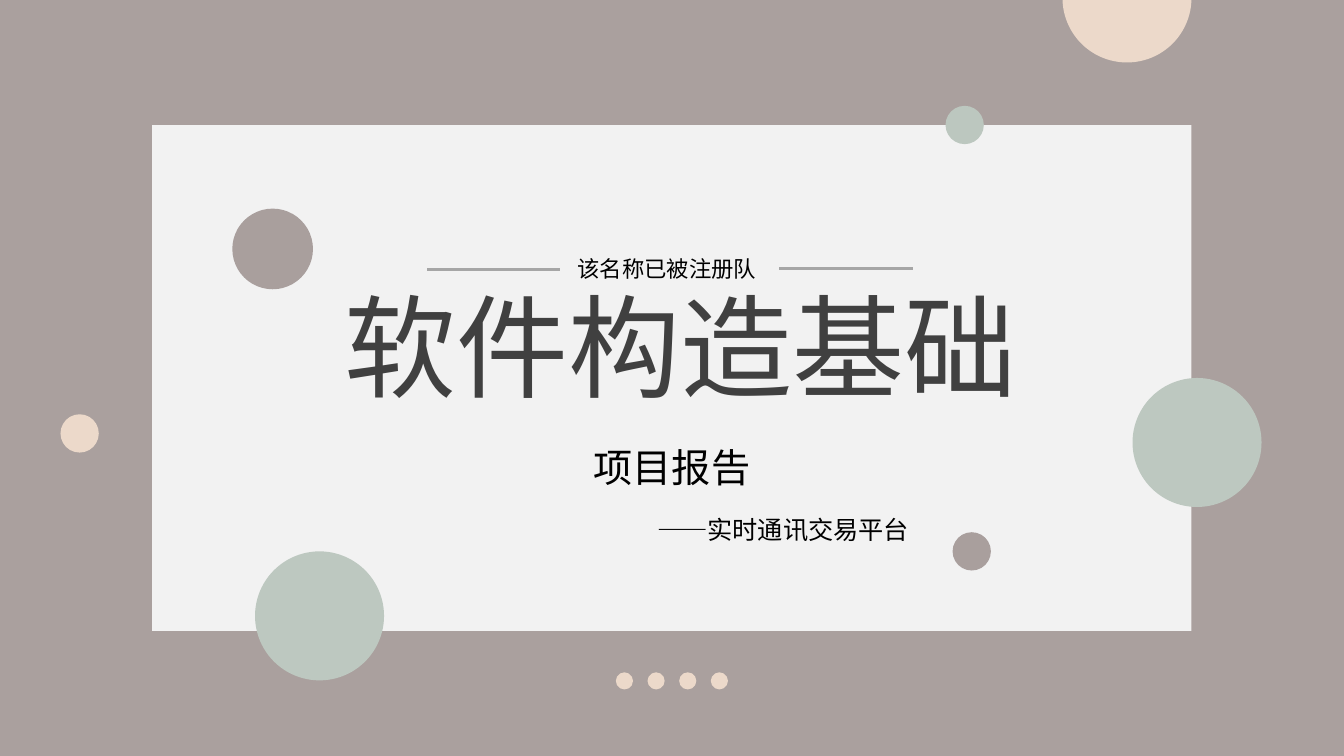
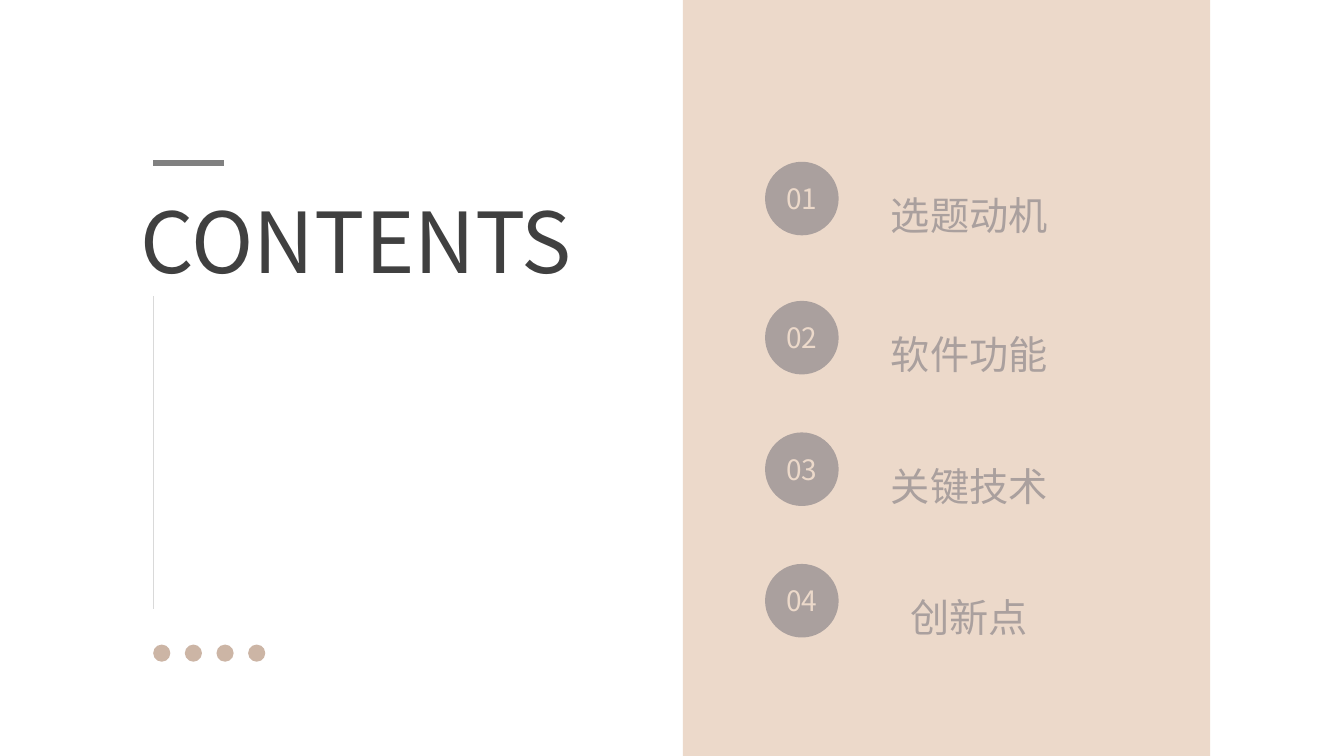
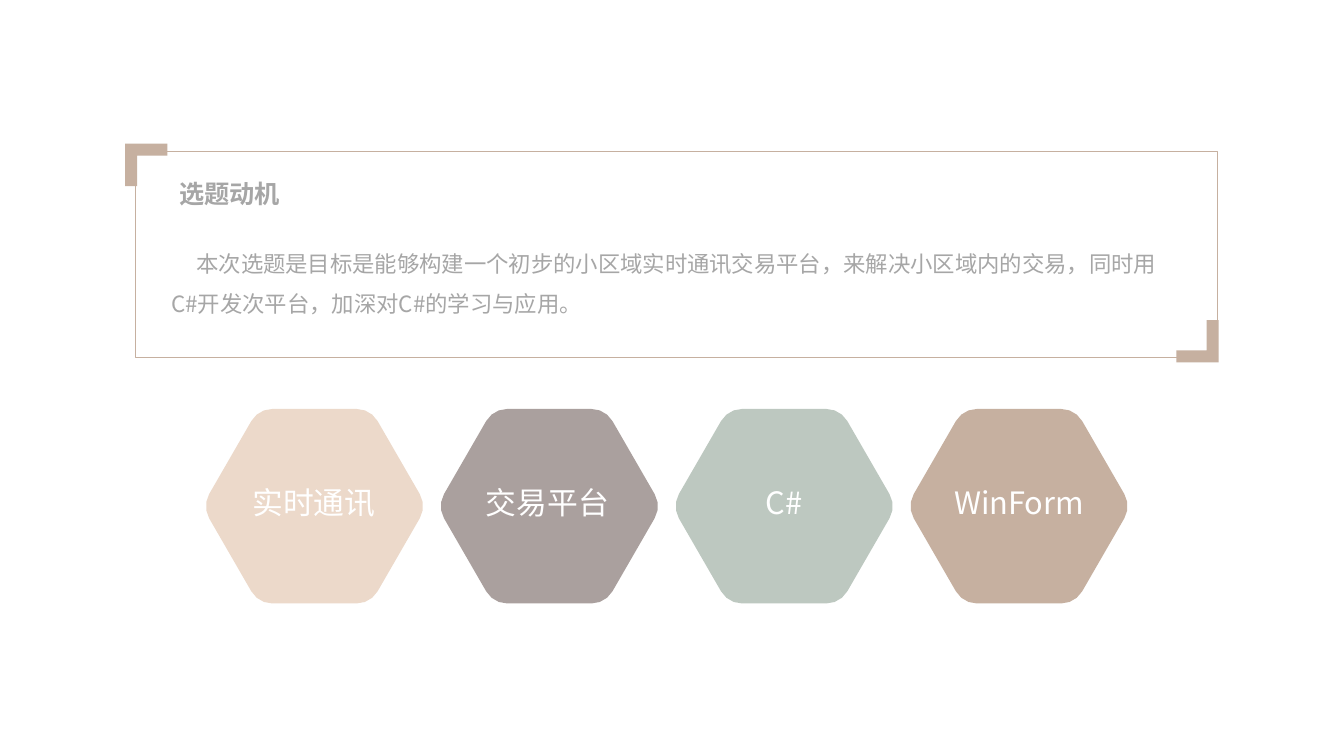
import math
from dataclasses import dataclass

import lxml.etree
import pptx
import pptx.dml.color
import pptx.enum.shapes
import pptx.enum.text
import pptx.oxml.ns
import pptx.shapes.autoshape
import pptx.slide
import pptx.util

# Grid: cells of a tenth of an inch, 133.33 columns by 75 rows
CELL = pptx.util.Inches(0.1)
COLUMNS, ROWS = 133.33, 75
FONT = "Noto Sans CJK SC"
COLORS = {
    "taupe": "AAA09E",
    "sand": "ECD9CA",
    "sage": "BDC8C0",
    "clay": "C6B0A0",
    "dot_clay": "CCB5A5",
    "bubble_taupe": "A99F9D",
    "bubble_sage": "BCC7BF",
    "panel": "F2F2F2",
    "title": "404040",
    "black": "000000",
    "white": "FFFFFF",
    "body": "A6A6A6",
    "accent": "808080",
    "hairline": "D9D9D9",
}
PRESET = pptx.enum.shapes.MSO_SHAPE
ALIGN = pptx.enum.text.PP_ALIGN
ANCHOR = pptx.enum.text.MSO_ANCHOR


@dataclass(frozen=True)
class Box:
    left: float
    top: float
    width: float
    height: float

    def emu(self) -> tuple[int, ...]:
        return tuple(grid(n) for n in (self.left, self.top, self.width, self.height))


@dataclass(frozen=True)
class TextStyle:
    size: float
    color: str
    align: ALIGN = ALIGN.LEFT
    anchor: ANCHOR = ANCHOR.TOP
    indent: float = 0
    spacing: float = 1.0
    margin: float = 1
    bold: bool = False
    wrap: bool = True


@dataclass(frozen=True)
class Bubble:
    left: float
    top: float
    diameter: float
    color: str


@dataclass(frozen=True)
class Rule:
    start: tuple[float, float]
    end: tuple[float, float]
    color: str
    weight: float


@dataclass(frozen=True)
class AgendaItem:
    number: str
    topic: str
    top: float


@dataclass(frozen=True)
class Keyword:
    text: str
    color: str
    text_left: float


def grid(cells: float) -> int:
    return round(cells * CELL)


def rgb(color: str) -> pptx.dml.color.RGBColor:
    return pptx.dml.color.RGBColor.from_string(COLORS[color])


def paint(shape: pptx.shapes.autoshape.Shape, fill: str | None) -> None:
    """Flat fill without outline or shadow."""
    shape.shadow.inherit = False
    shape.line.fill.background()
    if fill:
        shape.fill.solid()
        shape.fill.fore_color.rgb = rgb(fill)
    else:
        shape.fill.background()


def add_preset(
    slide: pptx.slide.Slide, preset: PRESET, box: Box, fill: str | None
) -> pptx.shapes.autoshape.Shape:
    shape = slide.shapes.add_shape(preset, *box.emu())
    paint(shape, fill)
    return shape


def add_outline(
    slide: pptx.slide.Slide, points: list[tuple[float, float]], fill: str
) -> None:
    corners = [(grid(x), grid(y)) for x, y in points]
    builder = slide.shapes.build_freeform(*corners[0])
    builder.add_line_segments(corners[1:], close=True)
    paint(builder.convert_to_shape(), fill)


def write(shape: pptx.shapes.autoshape.Shape, text: str, style: TextStyle) -> None:
    frame = shape.text_frame
    frame.word_wrap = style.wrap
    frame.vertical_anchor = style.anchor
    frame.margin_left = frame.margin_right = grid(style.margin)
    frame.margin_top = frame.margin_bottom = grid(style.margin / 2)
    paragraph = frame.paragraphs[0]
    paragraph.text = text
    paragraph.alignment = style.align
    paragraph.line_spacing = style.spacing
    font = paragraph.font
    font.size = pptx.util.Pt(style.size)
    font.bold = style.bold
    font.color.rgb = rgb(style.color)
    font.name = FONT
    # East Asian typeface and first-line indent
    properties = paragraph._p.get_or_add_pPr()
    if style.indent:
        properties.set("indent", str(grid(style.indent)))
    defaults = properties.find(pptx.oxml.ns.qn("a:defRPr"))
    east_asian = lxml.etree.SubElement(defaults, pptx.oxml.ns.qn("a:ea"))
    east_asian.set("typeface", FONT)


def add_text(
    slide: pptx.slide.Slide, box: Box, text: str, style: TextStyle
) -> None:
    write(slide.shapes.add_textbox(*box.emu()), text, style)


def add_pill(
    slide: pptx.slide.Slide, box: Box, text: str, style: TextStyle
) -> None:
    pill = add_preset(slide, PRESET.ROUNDED_RECTANGLE, box, None)
    pill.adjustments[0] = 0.5
    write(pill, text, style)


def add_bubble(
    slide: pptx.slide.Slide, bubble: Bubble
) -> pptx.shapes.autoshape.Shape:
    box = Box(bubble.left, bubble.top, bubble.diameter, bubble.diameter)
    return add_preset(slide, PRESET.OVAL, box, bubble.color)


def add_dots(slide: pptx.slide.Slide, left: float, top: float, color: str) -> None:
    for i in range(4):
        add_bubble(slide, Bubble(left + 3.14 * i, top, 1.7, color))


def add_rule(slide: pptx.slide.Slide, rule: Rule) -> None:
    line = slide.shapes.add_connector(
        pptx.enum.shapes.MSO_CONNECTOR.STRAIGHT,
        *map(grid, rule.start + rule.end),
    )
    line.line.color.rgb = rgb(rule.color)
    line.line.width = pptx.util.Pt(rule.weight)
    lxml.etree.SubElement(line._element.spPr, pptx.oxml.ns.qn("a:effectLst"))


def add_bracket(
    slide: pptx.slide.Slide, x: float, y: float, direction: int
) -> None:
    """L-shaped corner at (x, y), opening inwards along direction."""
    arm, thick = 4.2, 1.2
    steps = [(0, 0), (arm, 0), (arm, thick), (thick, thick), (thick, arm), (0, arm)]
    points = [(x + direction * dx, y + direction * dy) for dx, dy in steps]
    add_outline(slide, points, "clay")


def add_hexagon(slide: pptx.slide.Slide, x: float, y: float, color: str) -> None:
    """Hexagon centred on (x, y), its corners rounded by short arcs."""
    radius, rounding = 11.14, 2.4
    reach = radius - rounding / math.cos(math.pi / 6)
    points = []
    for corner in range(0, 360, 60):
        toward = math.radians(corner)
        for angle in range(corner - 30, corner + 31, 20):
            turn = math.radians(angle)
            points.append((
                x + reach * math.cos(toward) + rounding * math.cos(turn),
                y + reach * math.sin(toward) + rounding * math.sin(turn),
            ))
    add_outline(slide, points, color)


def build_cover(slide: pptx.slide.Slide) -> None:
    add_preset(slide, PRESET.RECTANGLE, Box(0, 0, COLUMNS, ROWS), "taupe")
    add_preset(slide, PRESET.RECTANGLE, Box(15.1, 12.4, 103.1, 50.2), "panel")

    # Scattered bubbles
    large, medium, small = 12.8, 8, 3.8
    for bubble in (
        Bubble(105.4, -6.6, large, "sand"),
        Bubble(112.35, 37.5, large, "sage"),
        Bubble(25.3, 54.7, large, "sage"),
        Bubble(23.05, 20.7, medium, "bubble_taupe"),
        Bubble(6, 41.1, small, "sand"),
        Bubble(93.8, 10.5, small, "bubble_sage"),
        Bubble(94.5, 52.8, small, "bubble_taupe"),
    ):
        add_bubble(slide, bubble)
    add_dots(slide, 61.1, 66.7, "sand")

    # Title, with the team name between two rules
    add_text(slide, Box(28.2, 27, 76.9, 33.2), "软件构造基础",
             TextStyle(80, "title", ALIGN.JUSTIFY, indent=5))
    add_rule(slide, Rule((42.4, 26.75), (55.6, 26.75), "body", 2.25))
    add_pill(slide, Box(55, 23.9, 23.4, 5.5), "该名称已被注册队",
             TextStyle(16, "black", anchor=ANCHOR.MIDDLE, indent=0.5))
    add_rule(slide, Rule((77.3, 26.65), (90.6, 26.65), "body", 2.25))

    # Subtitles
    add_text(slide, Box(50.9, 43.5, 31.5, 6.6), "项目报告",
             TextStyle(28, "black", ALIGN.JUSTIFY, indent=7))
    add_text(slide, Box(64.2, 50.5, 31.5, 4.6), "——实时通讯交易平台",
             TextStyle(18, "black", ALIGN.JUSTIFY))


def build_contents(slide: pptx.slide.Slide) -> None:
    add_preset(slide, PRESET.RECTANGLE, Box(67.75, 0, 52.3, ROWS), "sand")

    # Heading column
    margin = 15.2
    add_text(slide, Box(12.2, 18.3, 46.3, 11.1), "CONTENTS",
             TextStyle(60, "title", ALIGN.CENTER))
    add_rule(slide, Rule((margin, 29.4), (margin, 60.4), "hairline", 0.25))
    add_rule(slide, Rule((margin, 16.2), (22.2, 16.2), "accent", 4.5))
    add_dots(slide, margin, 63.95, "dot_clay")

    # Numbered topics
    number_style = TextStyle(20, "sand", ALIGN.CENTER, ANCHOR.MIDDLE, wrap=False)
    topic_style = TextStyle(28, "taupe", ALIGN.CENTER, spacing=1.5)
    for item in (
        AgendaItem("01", "选题动机", 16.05),
        AgendaItem("02", "软件功能", 29.85),
        AgendaItem("03", "关键技术", 42.9),
        AgendaItem("04", "创新点", 55.95),
    ):
        badge = add_bubble(slide, Bubble(75.9, item.top, 7.3, "taupe"))
        write(badge, item.number, number_style)
        add_text(slide, Box(83, item.top + 0.1, 26.3, 9.4), item.topic, topic_style)


def build_motivation(slide: pptx.slide.Slide) -> None:
    # Framed statement
    frame = add_preset(slide, PRESET.RECTANGLE, Box(13.4, 15, 107.4, 20.4), None)
    frame.line.color.rgb = rgb("clay")
    frame.line.width = pptx.util.Pt(0.25)
    add_bracket(slide, 12.4, 14.25, 1)
    add_bracket(slide, 120.9, 35.95, -1)
    add_text(
        slide, Box(16, 23, 102.1, 8.7),
        "本次选题是目标是能够构建一个初步的小区域实时通讯交易平台，来解决小区域内的交易，"
        "同时用C#开发次平台，加深对C#的学习与应用。",
        TextStyle(16, "body", indent=2.5, spacing=1.5),
    )
    add_pill(slide, Box(16, 16.4, 19.8, 5.5), "选题动机",
             TextStyle(18, "body", anchor=ANCHOR.MIDDLE, bold=True))

    # Keyword hexagons at an even pitch
    keyword_style = TextStyle(22, "white", ALIGN.CENTER, margin=0)
    for i, keyword in enumerate((
        Keyword("实时通讯", "sand", 24.05),
        Keyword("交易平台", "taupe", 47.2),
        Keyword("C#", "sage", 70.7),
        Keyword("WinForm", "clay", 94),
    )):
        add_hexagon(slide, 31.2 + 23.3 * i, 50.22, keyword.color)
        add_text(slide, Box(keyword.text_left, 48, 14.2, 4), keyword.text,
                 keyword_style)


def main() -> None:
    deck = pptx.Presentation()
    deck.slide_width, deck.slide_height = grid(COLUMNS), grid(ROWS)
    blank = deck.slide_layouts[6]
    for build in (build_cover, build_contents, build_motivation):
        build(deck.slides.add_slide(blank))
    deck.save("out.pptx")


if __name__ == "__main__":
    main()
